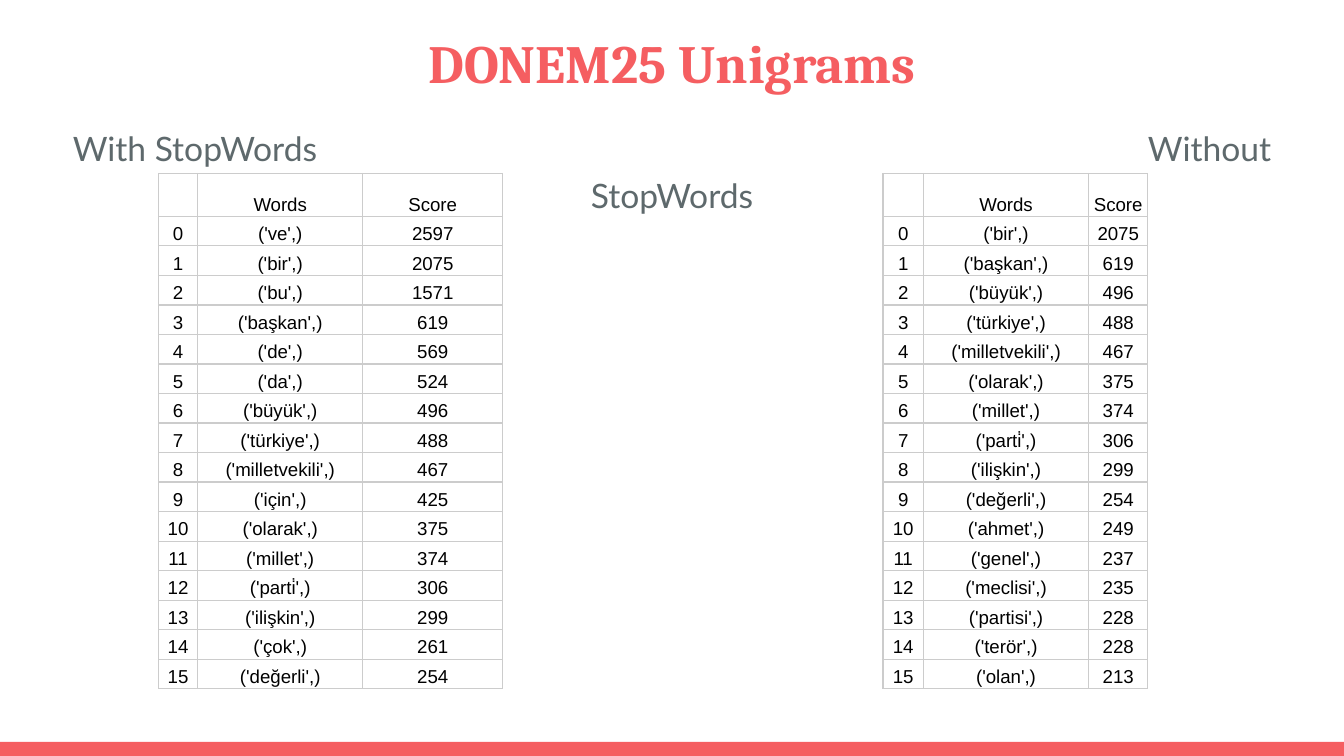
from lxml.etree import SubElement
from pptx import Presentation
from pptx.dml.color import RGBColor
from pptx.enum.shapes import MSO_SHAPE
from pptx.enum.text import MSO_ANCHOR, PP_ALIGN
from pptx.oxml.ns import qn
from pptx.util import Inches, Pt

COLORS = {"coral": "F55E61", "slate": "5E696C", "black": "000000", "grid": "CCCCCC"}

SLIDE_WIDTH = 10
SLIDE_HEIGHT = SLIDE_WIDTH * 9 / 16
HEADER_HEIGHT = 0.32
ROW_HEIGHT = 0.22

WITH_STOPWORDS = [
    ("('ve',)", 2597), ("('bir',)", 2075), ("('bu',)", 1571), ("('başkan',)", 619),
    ("('de',)", 569), ("('da',)", 524), ("('büyük',)", 496), ("('türkiye',)", 488),
    ("('milletvekili',)", 467), ("('için',)", 425), ("('olarak',)", 375),
    ("('millet',)", 374), ("('parti̇',)", 306), ("('ilişkin',)", 299),
    ("('çok',)", 261), ("('değerli',)", 254),
]
WITHOUT_STOPWORDS = [
    ("('bir',)", 2075), ("('başkan',)", 619), ("('büyük',)", 496), ("('türkiye',)", 488),
    ("('milletvekili',)", 467), ("('olarak',)", 375), ("('millet',)", 374),
    ("('parti̇',)", 306), ("('ilişkin',)", 299), ("('değerli',)", 254),
    ("('ahmet',)", 249), ("('genel',)", 237), ("('meclisi',)", 235),
    ("('partisi',)", 228), ("('terör',)", 228), ("('olan',)", 213),
]


def style_paragraph(para, font_name, size, color, bold=False):
    para.alignment = PP_ALIGN.CENTER
    para.font.name = font_name
    para.font.size = Pt(size)
    para.font.bold = bold
    para.font.color.rgb = RGBColor.from_string(COLORS[color])


def add_text(page, left, top, width, height, text):
    box = page.shapes.add_textbox(Inches(left), Inches(top), Inches(width), Inches(height))
    frame = box.text_frame
    frame.word_wrap = True
    frame.margin_left = frame.margin_right = Inches(0.1)
    frame.margin_top = frame.margin_bottom = Inches(0.1)
    para = frame.paragraphs[0]
    para.add_run().text = text
    return para


def add_title(page, left, top, width, height):
    para = add_text(page, left, top, width, height, "DONEM25 Unigrams")
    style_paragraph(para, "Cambria", 28.8, "coral", bold=True)


def add_headings(page, left, top, width, height):
    para = add_text(page, left, top, width, height, "With StopWords\tWithout StopWords")
    para.line_spacing = 1.15
    tabs = SubElement(para._p.get_or_add_pPr(), qn("a:tabLst"))
    SubElement(tabs, qn("a:tab"), pos=str(Inches(8)), algn="l")
    style_paragraph(para, "Lato", 18, "slate")


def add_borders(cell):
    properties = cell._tc.get_or_add_tcPr()
    for side in ("lnL", "lnR", "lnT", "lnB"):
        line = SubElement(properties, qn(f"a:{side}"), w=str(Pt(0.75)))
        fill = SubElement(line, qn("a:solidFill"))
        SubElement(fill, qn("a:srgbClr"), val=COLORS["grid"])


def fill_cell(cell, text):
    cell.vertical_anchor = MSO_ANCHOR.BOTTOM
    cell.margin_left = cell.margin_right = Inches(0.03)
    cell.margin_top = cell.margin_bottom = Inches(0.01)
    add_borders(cell)
    cell.fill.background()
    para = cell.text_frame.paragraphs[0]
    if text:
        para.add_run().text = text
    para.line_spacing = 1.15
    style_paragraph(para, "Arial", 10, "black")


def add_score_table(page, left, top, widths, scores):
    rows = [("", "Words", "Score")]
    rows += [(str(rank), word, str(score)) for rank, (word, score) in enumerate(scores)]
    height = HEADER_HEIGHT + ROW_HEIGHT * len(scores)
    table = page.shapes.add_table(
        len(rows), len(widths), Inches(left), Inches(top), Inches(sum(widths)), Inches(height)
    ).table
    table.first_row = table.horz_banding = False
    for column, width in zip(table.columns, widths):
        column.width = Inches(width)
    for index, values in enumerate(rows):
        table.rows[index].height = Inches(ROW_HEIGHT if index else HEADER_HEIGHT)
        for position, value in enumerate(values):
            fill_cell(table.cell(index, position), value)


def add_footer_band(page, left, top, width, height):
    band = page.shapes.add_shape(
        MSO_SHAPE.RECTANGLE, Inches(left), Inches(top), Inches(width), Inches(height)
    )
    band.shadow.inherit = False
    band.fill.solid()
    band.fill.fore_color.rgb = RGBColor.from_string(COLORS["coral"])
    band.line.fill.background()


def main():
    deck = Presentation()
    deck.slide_width = Inches(SLIDE_WIDTH)
    deck.slide_height = Inches(SLIDE_HEIGHT)
    page = deck.slides.add_slide(deck.slide_layouts[6])
    add_footer_band(page, 0, 5.52, SLIDE_WIDTH, 0.11)
    add_title(page, 0.34, 0.12, 9.32, 0.68)
    add_headings(page, 0.34, 0.81, 9.32, 0.54)
    add_score_table(page, 6.57, 1.29, (0.3, 1.23, 0.44), WITHOUT_STOPWORDS)
    add_score_table(page, 1.18, 1.29, (0.29, 1.23, 1.04), WITH_STOPWORDS)
    deck.save("out.pptx")


if __name__ == "__main__":
    main()
